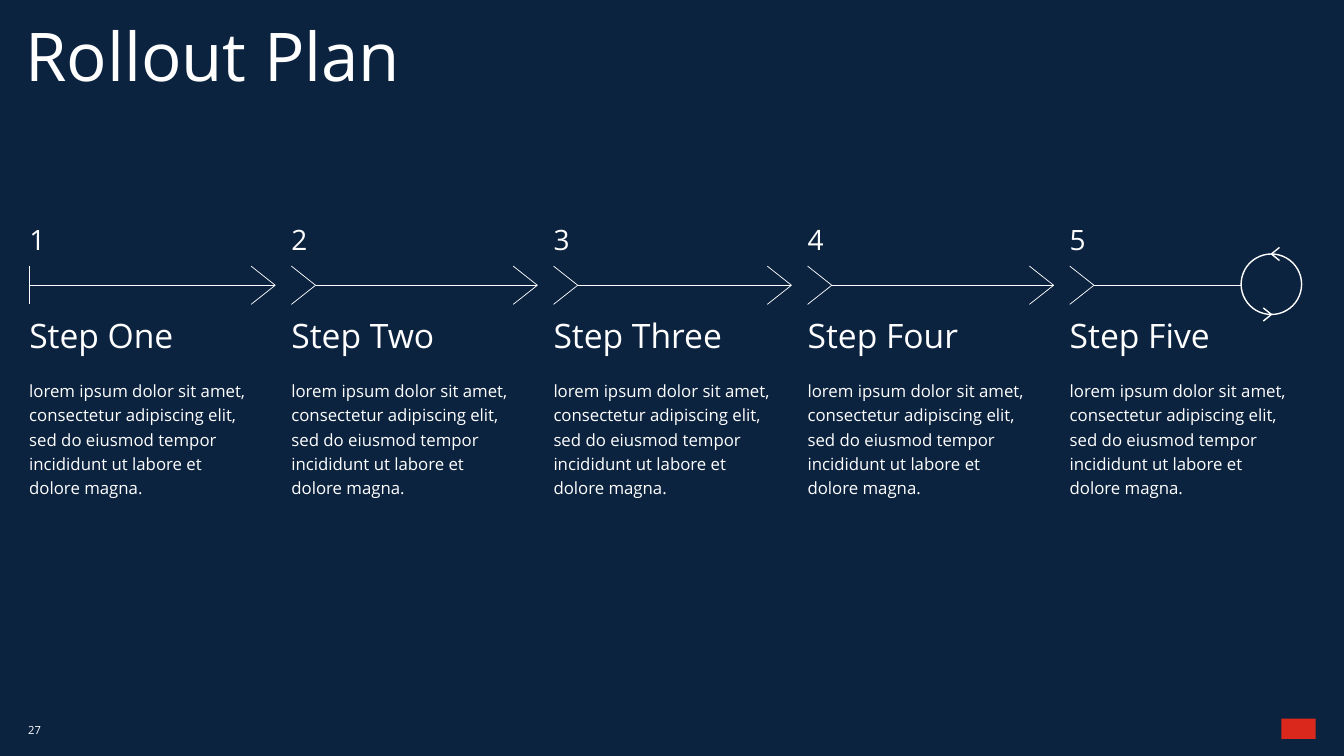
from lxml import etree
from pptx import Presentation
from pptx import util as u
from pptx.dml.color import RGBColor
from pptx.enum import shapes, text
from pptx.oxml.ns import qn

COLORS = {"navy": "0C2340", "white": "FFFFFF", "red": "DA291C"}
FONT = "Open Sans"
FORMATS = {
    "title": {"size": 48, "line_spacing": 0.7},
    "number": {"size": 20, "line_spacing": 0.7},
    "heading": {"size": 24, "line_spacing": 0.7},
    "body": {"size": 12, "line_spacing": 1.2, "space_after": u.Pt(8)},
    "page": {"size": 8},
}
BODY = ("lorem ipsum dolor sit amet, consectetur adipiscing elit, "
        "sed do eiusmod tempor incididunt ut labore et dolore magna.")
# Step heading and column width
STEPS = [("Step One", 2.44), ("Step Two", 2.44), ("Step Three", 2.36),
         ("Step Four", 2.44), ("Step Five", 2.3)]
STEP_GAP = 0.16
HEAD_WIDTH, HEAD_RISE = 0.24, 0.19
LOOP_SIZE = 0.6


def color(name):
    return RGBColor.from_string(COLORS[name])


def write(box, content, style, anchor=text.MSO_ANCHOR.TOP):
    frame = box.text_frame
    settings = {"word_wrap": True, "auto_size": text.MSO_AUTO_SIZE.NONE,
                "vertical_anchor": anchor, "margin_left": 0, "margin_top": 0,
                "margin_right": 0, "margin_bottom": 0}
    for name, value in settings.items():
        setattr(frame, name, value)
    para = frame.paragraphs[0]
    para.alignment = text.PP_ALIGN.LEFT
    span = para.add_run()
    span.text = content
    span.font.name = FONT
    span.font.color.rgb = color("white")
    for name, value in FORMATS[style].items():
        if name == "size":
            span.font.size = u.Pt(value)
        else:
            setattr(para, name, value)


def add_text(page, left, top, width, height, content, style,
             anchor=text.MSO_ANCHOR.TOP):
    box = page.shapes.add_textbox(*map(u.Inches, (left, top, width, height)))
    write(box, content, style, anchor)


def add_line(page, x1, y1, x2, y2, weight=0.5):
    line = page.shapes.add_connector(
        shapes.MSO_CONNECTOR.STRAIGHT, *map(u.Inches, (x1, y1, x2, y2)))
    line.line.color.rgb = color("white")
    line.line.width = u.Pt(weight)
    etree.SubElement(line._element.spPr, qn("a:effectLst"))


def add_chevron(page, tip_x, tip_y, width, rise, weight=0.5):
    """Two strokes meeting at a tip; a negative width points left."""
    for side in (1, -1):
        add_line(page, tip_x - width, tip_y + side * rise, tip_x, tip_y, weight)


def add_loop(page, left, axis):
    """Circle with a small arrowhead at its top and bottom."""
    radius = LOOP_SIZE / 2
    ring = page.shapes.add_shape(
        shapes.MSO_SHAPE.OVAL,
        *map(u.Inches, (left, axis - radius - 0.01, LOOP_SIZE, LOOP_SIZE)))
    ring.shadow.inherit = False
    ring.fill.background()
    ring.line.color.rgb = color("white")
    ring.line.width = u.Pt(1)
    for direction in (-1, 1):
        add_chevron(page, left + radius, axis - 0.01 + direction * radius,
                    direction * 0.08, 0.065, 1)


def add_step(page, left, top, width, index, heading):
    first, last = index == 0, index == len(STEPS) - 1
    axis = top + 0.53
    right = left + width

    # Number, heading and description
    add_text(page, left, top, 1.35, 0.45, str(index + 1), "number")
    add_text(page, left, top + 0.93, 1.92, 0.45, heading, "heading")
    add_text(page, left, top + 1.44, 2.26, 1.19, BODY, "body")

    # Tail: an upright bar on the first step, a notch on the others
    start = left if first else left + HEAD_WIDTH
    if first:
        add_line(page, left, axis - HEAD_RISE, left, axis + HEAD_RISE)
    else:
        add_chevron(page, start, axis, HEAD_WIDTH, HEAD_RISE)

    # Shaft and head: the last step ends in a loop
    end = right - LOOP_SIZE if last else right
    add_line(page, start, axis, end, axis)
    if last:
        add_loop(page, end, axis)
    else:
        add_chevron(page, end, axis, HEAD_WIDTH, HEAD_RISE)


def add_timeline(page, left, top):
    for index, (heading, width) in enumerate(STEPS):
        add_step(page, left, top, width, index, heading)
        left += width + STEP_GAP


def add_title(page, left, top, width, height):
    title = page.shapes.title
    title.left, title.top, title.width, title.height = map(
        u.Inches, (left, top, width, height))
    write(title, "Rollout Plan", "title")


def add_footer(page, left, top):
    # Page number and plain brand mark
    add_text(page, left, top, 0.54, 0.22, "27", "page", text.MSO_ANCHOR.MIDDLE)
    mark = page.shapes.add_shape(
        shapes.MSO_SHAPE.RECTANGLE,
        *map(u.Inches, (left + 12.43, top, 0.34, 0.2)))
    mark.shadow.inherit = False
    mark.fill.solid()
    mark.fill.fore_color.rgb = color("red")
    mark.line.fill.background()


def main():
    deck = Presentation()
    deck.slide_width, deck.slide_height = u.Inches(13.33), u.Inches(7.5)
    page = deck.slides.add_slide(deck.slide_layouts.get_by_name("Title Only"))
    page.background.fill.solid()
    page.background.fill.fore_color.rgb = color("navy")
    add_title(page, 0.25, 0.36, 10.34, 1)
    add_timeline(page, 0.29, 2.3)
    add_footer(page, 0.28, 7.13)
    deck.save("out.pptx")


if __name__ == "__main__":
    main()
